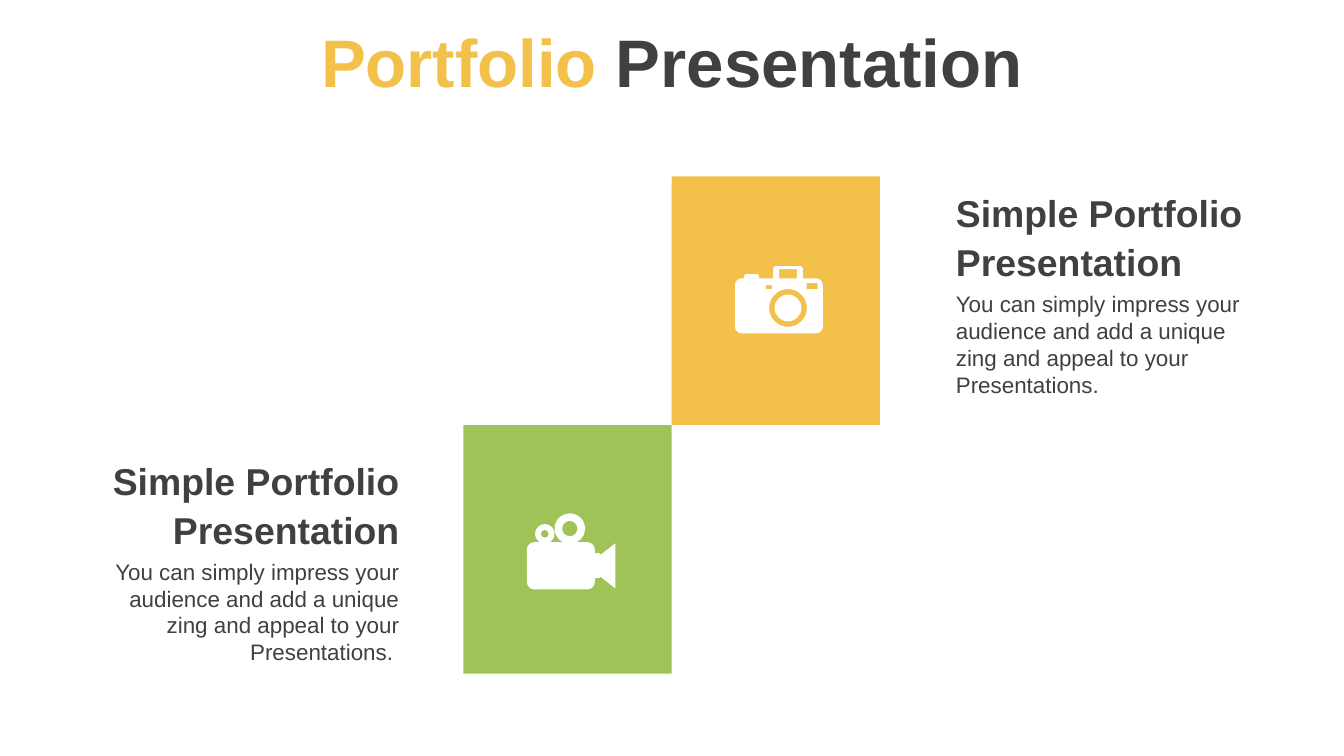
"""Build the portfolio slide: two stepped tiles with icons and captions."""
from math import ceil, cos, radians, sin, tan

from pptx import Presentation
from pptx.dml.color import RGBColor
from pptx.enum.shapes import MSO_SHAPE as Shape
from pptx.enum.text import MSO_ANCHOR as Anchor, MSO_AUTO_SIZE as Fit, PP_ALIGN as Align
from pptx.oxml.ns import qn
from pptx.util import Pt

HUES = {"gold": "F3C04A", "green": "A0C358", "dark": "404040", "white": "FFFFFF"}
TITLE = [("Portfolio", "gold"), (" Presentation", "dark")]
HEAD = "Simple Portfolio Presentation"
BODY = "You can simply impress your audience and add a unique zing and appeal to your Presentations."

PHOTO = [
    [(3.6, 10.1, 3.6, 180, 270), (4.8, 6.5), (5.6, 5.1, 0.8, 180, 270),
     (12.1, 5.1, 0.8, 270, 360), (12.9, 6.5), (20.4, 6.5),
     (21.8, 1.4, 1.4, 180, 270), (35, 1.4, 1.4, 270, 360), (36.4, 6.5),
     (43.4, 10.1, 3.6, 270, 360), (43.4, 32.4, 3.6, 0, 90), (3.6, 32.4, 3.6, 90, 180)],
    [(28.4, 22.4, 10.1, 0, 360)],
    [(28.4, 22.4, 7.2, 0, 360)],
    [(16.6, 10.2), (19.8, 10.2), (19.8, 12.3), (16.6, 12.3)],
    [(38.3, 9.1), (44.2, 9.1), (44.2, 12.3), (38.3, 12.3)],
    [(23.6, 1.6), (33.2, 1.6), (33.2, 6.5), (23.6, 6.5)],
]
MOVIE = [
    [(4, 19.5, 4, 180, 270), (9.6, 11, 5.2, 120, 420), (23, 8.2, 8.2, 117, 423),
     (32.4, 19.5, 4, 270, 360), (36.4, 21.4), (38.8, 21.4), (39.5, 22.2),
     (47.4, 16.1), (47.4, 40.3), (39.5, 34), (38.8, 34.7), (36.4, 34.7),
     (32.4, 36.8, 4, 0, 90), (4, 36.8, 4, 90, 180)],
    [(9.6, 11, 2.1, 0, 360)],
    [(23, 8.2, 4.1, 0, 360)],
]
STEPS = [
    {"hue": "gold", "icon": PHOTO, "spot": (393.8, 142.6),
     "text": (505, 94.7), "align": Align.LEFT, "body": BODY},
    {"hue": "green", "icon": MOVIE, "spot": (282.3, 275),
     "text": (49, 238), "align": Align.RIGHT, "body": BODY + " "},
]
WIDE, TALL = 111.6, 133.2
LEFT, TOP = 359.8, 94.5
TEXT_W, HEAD_H, BODY_H, DROP = 172.1, 62.6, 65.5, 57.3
HEAD_FONT = {"size": Pt(20), "bold": True}
BODY_FONT = {"size": Pt(12), "bold": False}
TITLE_FONT = {"size": Pt(36), "bold": True}


def color(hue):
    return RGBColor.from_string(HUES[hue])


def paint(shape, hue):
    shape.shadow.inherit = False
    shape.fill.solid()
    shape.fill.fore_color.rgb = color(hue)
    shape.line.fill.background()


def write(slide, box, runs, font, align, frame, para):
    text = slide.shapes.add_textbox(*map(Pt, box)).text_frame
    for key, value in {"word_wrap": True, **frame}.items():
        setattr(text, key, value)
    line = text.paragraphs[0]
    for key, value in {"alignment": align, **para}.items():
        setattr(line, key, value)
    for words, hue in runs:
        run = line.add_run()
        run.text = words
        for key, value in {"name": "Arial", **font}.items():
            setattr(run.font, key, value)
        run.font.color.rgb = color(hue)


def bend(x, y, size, start, end):
    """Split an arc given by centre, radius and angles into a point and curves."""
    count = ceil((end - start) / 90)
    turn = radians((end - start) / count)
    pull = 4 / 3 * tan(turn / 4)

    def at(angle, lean):
        return (x + size * (cos(angle) - lean * sin(angle)),
                y + size * (sin(angle) + lean * cos(angle)))

    marks = [radians(start) + i * turn for i in range(count + 1)]
    curves = [[at(a, pull), at(b, -pull), at(b, 0)] for a, b in zip(marks, marks[1:])]
    return [[at(marks[0], 0)], *curves]


def trace(parts):
    """Turn points and arcs into moves of one point (line) or three (curve)."""
    return [move for part in parts
            for move in ([[part]] if len(part) == 2 else bend(*part))]


def draw(slide, icon, spot):
    pen, sizes = None, []
    for first, *rest in map(trace, icon):
        start = tuple(map(Pt, first[0]))
        if pen is None:
            pen = slide.shapes.build_freeform(*start, scale=1.0)
        else:
            pen.move_to(*start)
        pen.add_line_segments([(Pt(x), Pt(y)) for move in rest for x, y in move], close=True)
        sizes += map(len, rest)
    shape = pen.convert_to_shape(*map(Pt, spot))
    lines = iter(list(shape.element.iter(qn("a:lnTo"))))
    for size in sizes:
        head, *tail = [next(lines) for _ in range(size)]
        if tail:
            head.tag = qn("a:cubicBezTo")
        for line in tail:
            head.append(line[0])
            line.getparent().remove(line)
    paint(shape, "white")


def main():
    deck = Presentation()
    deck.slide_width, deck.slide_height = Pt(720), Pt(405)
    slide = deck.slides.add_slide(deck.slide_layouts[6])
    middle = {"vertical_anchor": Anchor.MIDDLE}
    write(slide, (0, 1.8, 720, 61.2), TITLE, TITLE_FONT, Align.CENTER, middle, {})
    for i, step in enumerate(STEPS):
        box = LEFT - i * WIDE, TOP + i * TALL, WIDE, TALL
        paint(slide.shapes.add_shape(Shape.RECTANGLE, *map(Pt, box)), step["hue"])
        draw(slide, step["icon"], step["spot"])
        x, y = step["text"]
        write(slide, (x, y, TEXT_W, HEAD_H), [(HEAD, "dark")], HEAD_FONT,
              step["align"], middle, {"line_spacing": 1.1})
        write(slide, (x, y + DROP, TEXT_W, BODY_H), [(step["body"], "dark")], BODY_FONT,
              step["align"], {"auto_size": Fit.SHAPE_TO_FIT_TEXT}, {})
    deck.save("out.pptx")


if __name__ == "__main__":
    main()
